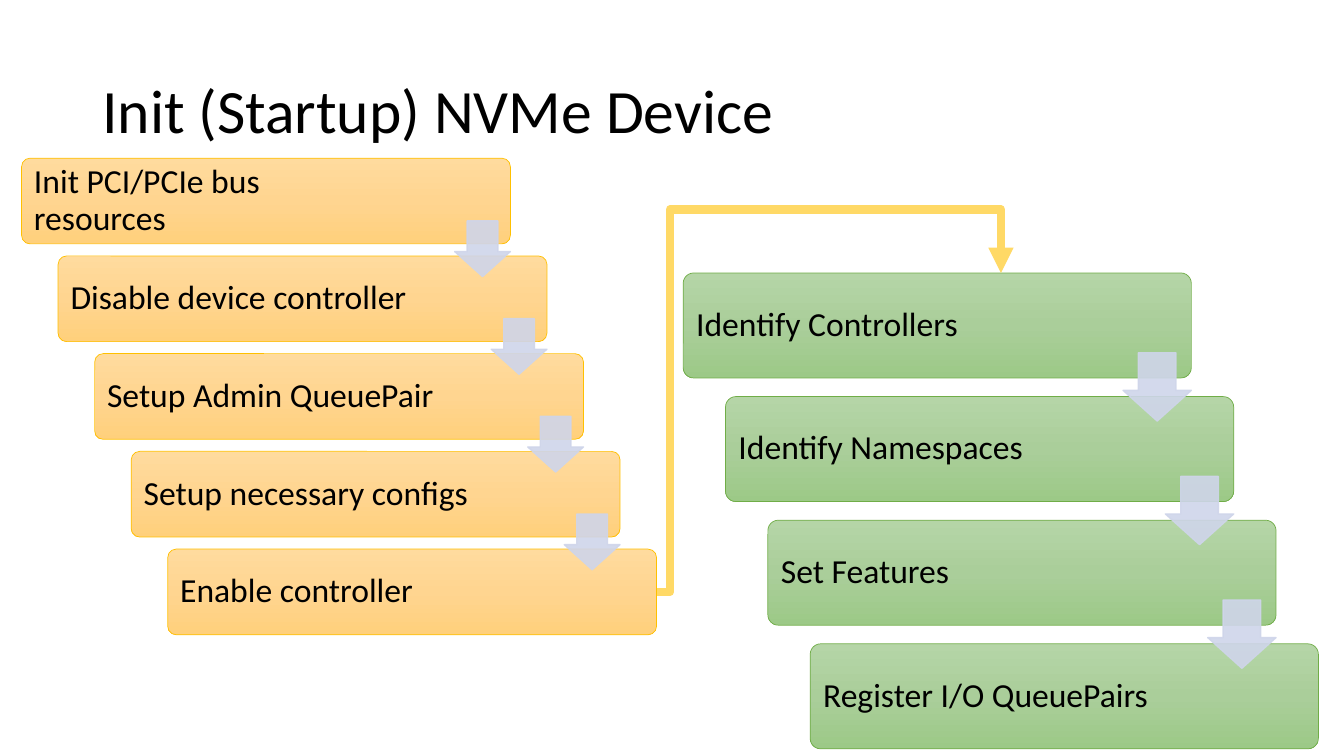
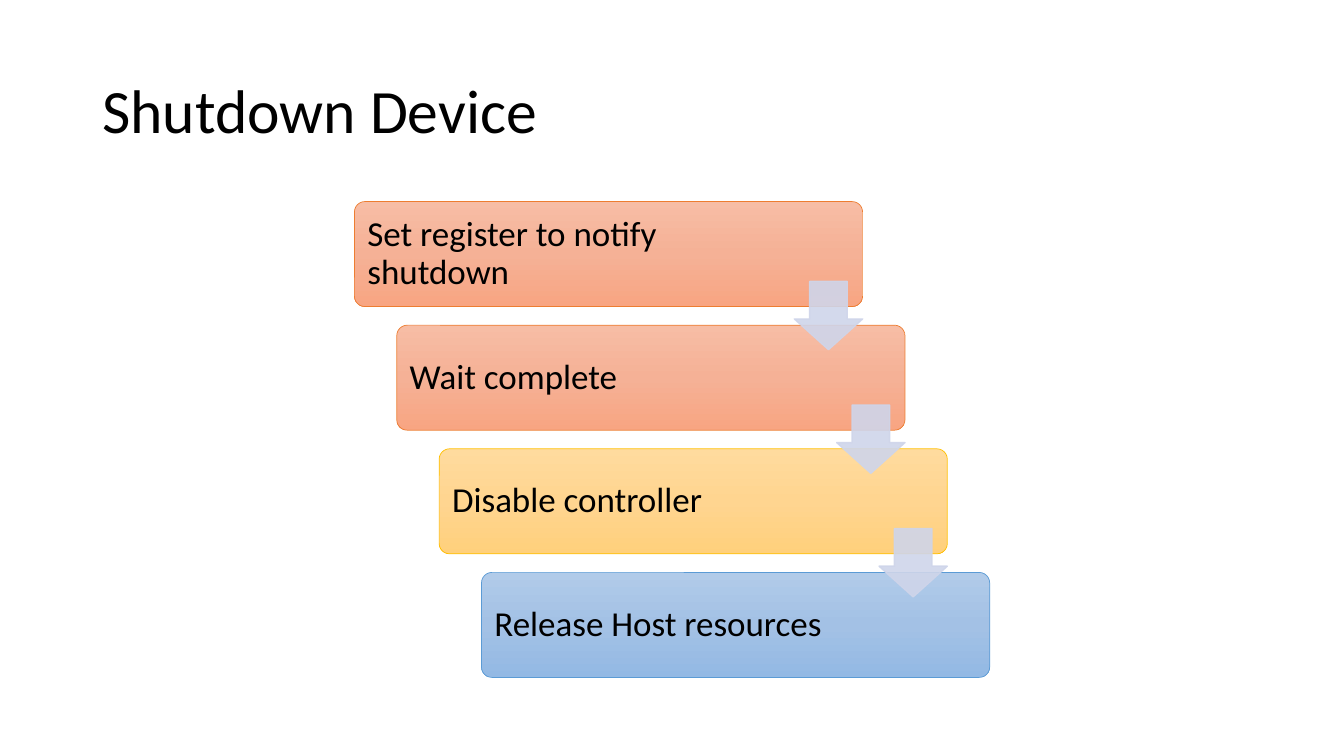
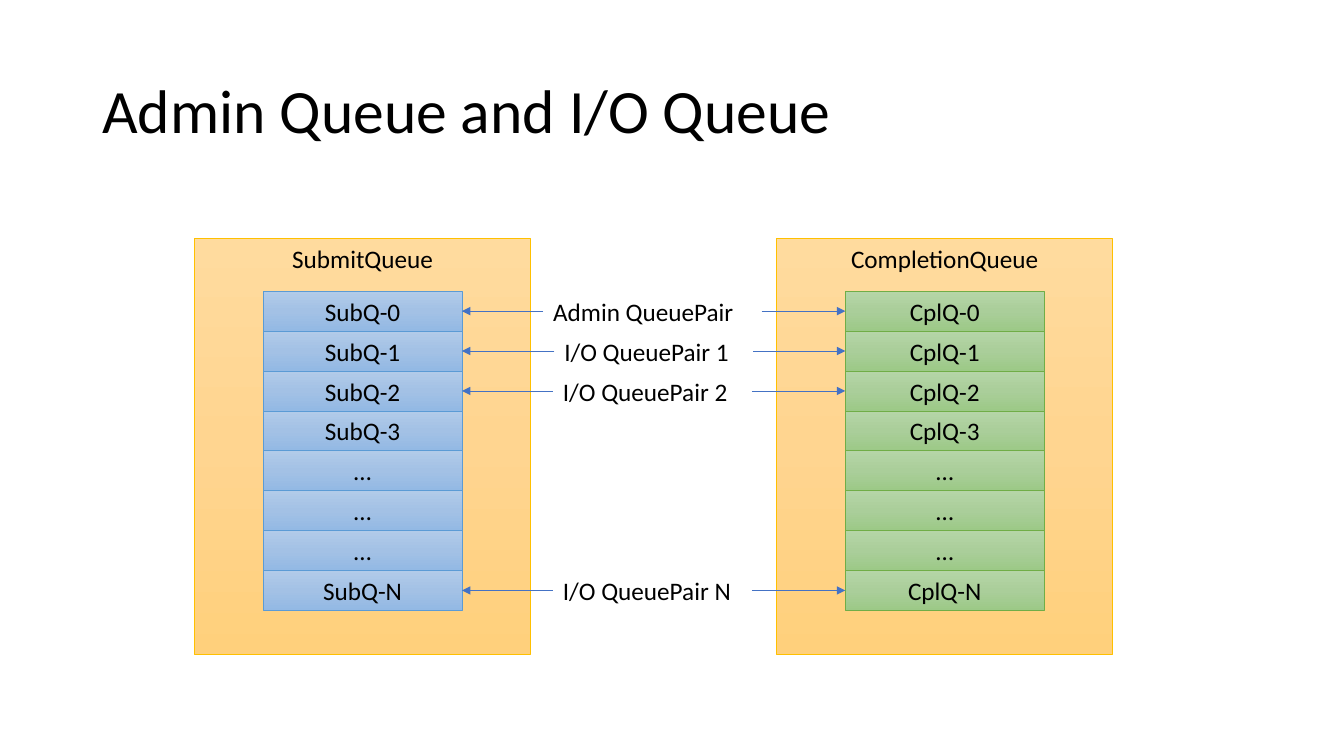
from copy import deepcopy

from lxml.etree import SubElement
from pptx import Presentation
from pptx.dml.color import RGBColor
from pptx.enum.shapes import MSO_CONNECTOR, MSO_SHAPE
from pptx.enum.text import MSO_ANCHOR, PP_ALIGN
from pptx.oxml.ns import qn
from pptx.util import Pt

RECT, ROUND_RECT = MSO_SHAPE.RECTANGLE, MSO_SHAPE.ROUNDED_RECTANGLE
DOWN_ARROW = MSO_SHAPE.DOWN_ARROW
STRAIGHT, ELBOW = MSO_CONNECTOR.STRAIGHT, MSO_CONNECTOR.ELBOW
TOP, MIDDLE = MSO_ANCHOR.TOP, MSO_ANCHOR.MIDDLE
LEFT, CENTER = PP_ALIGN.LEFT, PP_ALIGN.CENTER
LEFT_SIDE, RIGHT_SIDE = 1, 3

FONT = "Calibri"
TEXT_COLOUR = "000000"
STEP_ARROW = "CFD5EA"
LINK_BLUE = "4472C4"
LINK_GOLD = "FFD966"

# Gradient from top to bottom, then the outline
GOLD = ("FFDB9E", "FFD590", "FFD07C", "FFC000")
GREEN = ("B5D5A7", "AACE9A", "9CC987", "70AD47")
ORANGE = ("F7BDA5", "F5B196", "F8A582", "ED7D31")
BLUE = ("B1CBE9", "A3C1E5", "93B9E4", "5B9BD5")


def write(shape, text, size, align=LEFT, anchor=MIDDLE, spacing=1.0):
    frame = shape.text_frame
    frame.word_wrap = True
    frame.vertical_anchor = anchor
    paragraph = frame.paragraphs[0]
    paragraph.alignment = align
    paragraph.line_spacing = spacing
    run = paragraph.add_run()
    run.text = text
    run.font.name = FONT
    run.font.size = Pt(size)
    run.font.color.rgb = RGBColor.from_string(TEXT_COLOUR)


def add_gradient_box(slide, kind, left, top, width, height, palette):
    box = slide.shapes.add_shape(kind, Pt(left), Pt(top), Pt(width), Pt(height))
    box.shadow.inherit = False
    box.fill.gradient()
    box.fill.gradient_angle = 270
    stop_list = box._element.spPr.find(".//" + qn("a:gsLst"))
    stop_list.insert(1, deepcopy(stop_list[0]))
    for stop, position, colour in zip(box.fill.gradient_stops, (0, 0.5, 1), palette):
        stop.position = position
        stop.color.rgb = RGBColor.from_string(colour)
    box.line.color.rgb = RGBColor.from_string(palette[3])
    box.line.width = Pt(0.5)
    return box


prs = Presentation()
prs.slide_width, prs.slide_height = Pt(960), Pt(540)

# Slides and titles
slides = []
for title in ("Init (Startup) NVMe Device", "Shutdown Device", "Admin Queue and I/O Queue"):
    slide = prs.slides.add_slide(prs.slide_layouts[6])
    heading = slide.shapes.add_textbox(Pt(66), Pt(28.8), Pt(828), Pt(104.4))
    write(heading, title, 44, spacing=0.9)
    slides.append(slide)
startup, shutdown, queues = slides

# Cascades: slide, origin, box size, offset per step, arrow size and drop, text size, steps
SMALL = (349.2, 61.2, 26.1, 69.8, 39.8, 44.8)
LARGE = (363, 75, 30.25, 88.3, 48.8, 57)
cascades = [
    (startup, 15.4, 113, SMALL, 24, [
        ("Init PCI/PCIe bus resources", GOLD),
        ("Disable device controller", GOLD),
        ("Setup Admin QueuePair", GOLD),
        ("Setup necessary configs", GOLD),
        ("Enable controller", GOLD)]),
    (startup, 488, 195, LARGE, 24, [
        ("Identify Controllers", GREEN),
        ("Identify Namespaces", GREEN),
        ("Set Features", GREEN),
        ("Register I/O QueuePairs", GREEN)]),
    (shutdown, 253.2, 144, LARGE, 25, [
        ("Set register to notify shutdown", ORANGE),
        ("Wait complete", ORANGE),
        ("Disable controller", GOLD),
        ("Release Host resources", BLUE)]),
]
step_boxes = {}
for slide, left, top, metrics, text_size, steps in cascades:
    width, height, shift_x, shift_y, arrow_size, arrow_drop = metrics
    for i, (step, palette) in enumerate(steps):
        box = add_gradient_box(slide, ROUND_RECT, left + i * shift_x, top + i * shift_y,
                               width, height, palette)
        box.adjustments[0] = 0.1
        box.text_frame.margin_right = Pt(80)
        write(box, step, text_size, spacing=0.9)
        step_boxes[step] = box
    for i in range(len(steps) - 1):
        arrow = slide.shapes.add_shape(
            DOWN_ARROW, Pt(left + i * shift_x + width - arrow_size),
            Pt(top + i * shift_y + arrow_drop), Pt(arrow_size), Pt(arrow_size))
        arrow.shadow.inherit = False
        arrow.adjustments[0], arrow.adjustments[1] = 0.55, 0.45
        arrow.fill.solid()
        arrow.fill.fore_color.rgb = RGBColor.from_string(STEP_ARROW)
        arrow.line.color.rgb = RGBColor.from_string(STEP_ARROW)
        arrow.line.width = Pt(1)
        for colour in arrow._element.spPr.iter(qn("a:srgbClr")):
            SubElement(colour, qn("a:alpha"), val="90000")

# Link from the first cascade to the second
enable, identify = step_boxes["Enable controller"], step_boxes["Identify Controllers"]
phase_link = startup.shapes.add_connector(
    ELBOW, enable.left + enable.width, enable.top + enable.height // 2, Pt(715), identify.top)
bend = phase_link._element.spPr.find(qn("a:prstGeom"))
bend.set("prst", "bentConnector4")
for name, value in (("adj1", 3900), ("adj2", 119900)):
    SubElement(bend.find(qn("a:avLst")), qn("a:gd"), name=name, fmla=f"val {value}")
links = [(phase_link, LINK_GOLD, 6)]

# Queues
ROW_TOP, ROW_HEIGHT, ROW_WIDTH = 208, 28.5, 142
QUEUE_WIDTH = 240
entries = ["0", "1", "2", "3", "…", "…", "…", "N"]
rows = []
for queue, prefix, left, palette in (("SubmitQueue", "SubQ-", 139, BLUE),
                                     ("CompletionQueue", "CplQ-", 554.8, GREEN)):
    panel = add_gradient_box(queues, RECT, left, 170, QUEUE_WIDTH, 297.5, GOLD)
    write(panel, queue, 18, CENTER, TOP)
    column = []
    for i, entry in enumerate(entries):
        row = add_gradient_box(queues, RECT, left + (QUEUE_WIDTH - ROW_WIDTH) / 2,
                               ROW_TOP + i * ROW_HEIGHT, ROW_WIDTH, ROW_HEIGHT, palette)
        write(row, entry if entry == "…" else prefix + entry, 18, CENTER)
        column.append(row)
    rows.append(column)
submit_rows, completion_rows = rows

# Queue pairs, each joined to its two rows
for i, pair, left, width in ((0, "Admin QueuePair", 388, 156),
                             (1, "I/O QueuePair 1", 396, 142),
                             (2, "I/O QueuePair 2", 395, 142),
                             (7, "I/O QueuePair N", 395, 142)):
    label = queues.shapes.add_textbox(Pt(left), Pt(ROW_TOP + i * ROW_HEIGHT),
                                      Pt(width), Pt(ROW_HEIGHT))
    write(label, pair, 18, anchor=TOP)
    for row, label_side, row_side in ((submit_rows[i], LEFT_SIDE, RIGHT_SIDE),
                                      (completion_rows[i], RIGHT_SIDE, LEFT_SIDE)):
        pair_link = queues.shapes.add_connector(STRAIGHT, 0, 0, 0, 0)
        pair_link.begin_connect(label, label_side)
        pair_link.end_connect(row, row_side)
        links.append((pair_link, LINK_BLUE, 0.5))

# Link lines and arrowheads
for link, colour, weight in links:
    link.line.color.rgb = RGBColor.from_string(colour)
    link.line.width = Pt(weight)
    properties = link._element.spPr
    SubElement(properties.find(qn("a:ln")), qn("a:tailEnd"), type="triangle")
    SubElement(properties, qn("a:effectLst"))

prs.save("out.pptx")
